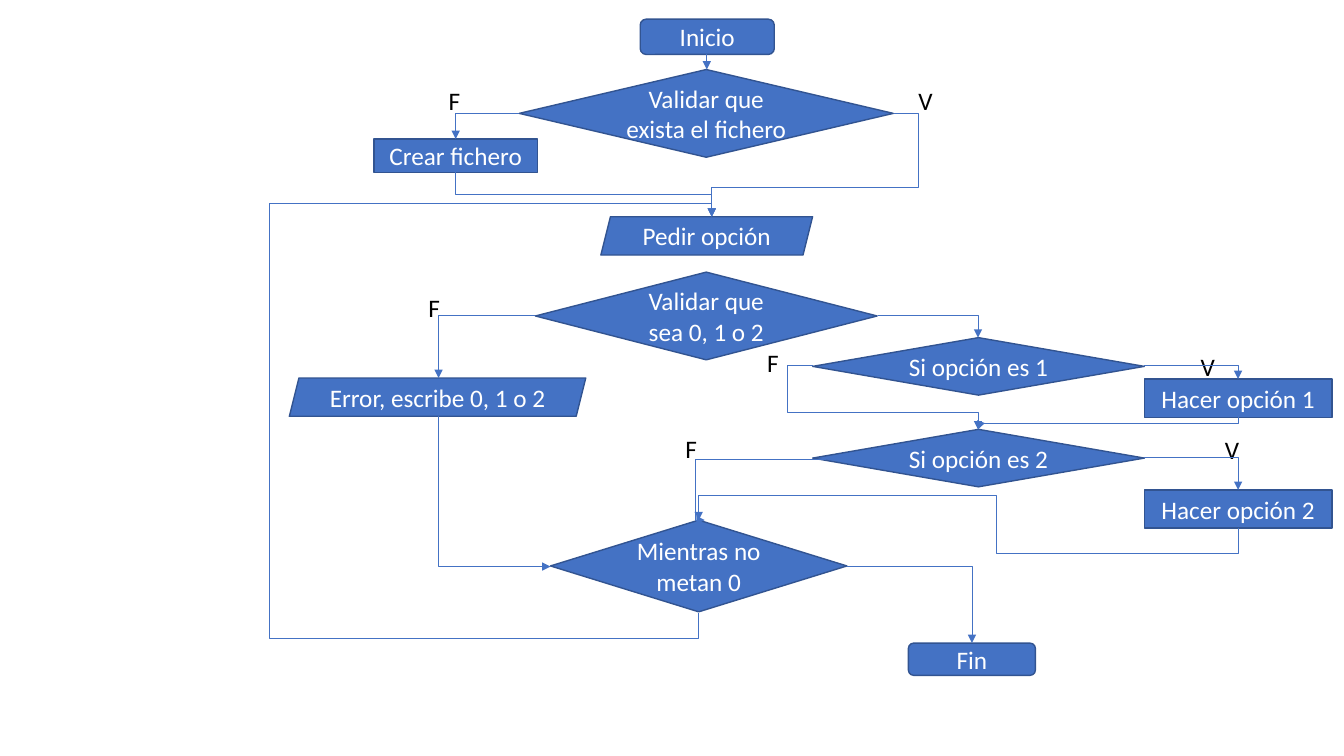
from lxml import etree
from pptx import Presentation
from pptx.dml.color import RGBColor
from pptx.enum.shapes import MSO_CONNECTOR as LINK, MSO_SHAPE as SHAPE
from pptx.enum.text import MSO_ANCHOR as ANCHOR, MSO_AUTO_SIZE as AUTO, PP_ALIGN as ALIGN
from pptx.oxml.ns import qn
from pptx.util import Inches, Pt

BLUE, OUTLINE, WHITE, BLACK = "4472C4", "325491", "FFFFFF", "000000"
TOP, LEFT, BOTTOM, RIGHT = range(4)
TOP_SLANTED = 1  # second connection site of a parallelogram


def color(hex_value):
    return RGBColor.from_string(hex_value)


def write(shape, text, hex_value=WHITE, align=ALIGN.CENTER, anchor=ANCHOR.MIDDLE, wrap=True):
    frame = shape.text_frame
    frame.word_wrap = wrap
    frame.vertical_anchor = anchor
    paragraph = frame.paragraphs[0]
    paragraph.alignment = align
    run = paragraph.add_run()
    run.text = text
    run.font.name, run.font.size = "Calibri", Pt(18)
    run.font.color.rgb = color(hex_value)


prs = Presentation()
prs.slide_width, prs.slide_height = Inches(13.33), Inches(7.5)
slide = prs.slides.add_slide(prs.slide_layouts[6])

# Steps of the flow: key, preset, left, top, width, height, text
steps = [
    ("start", SHAPE.ROUNDED_RECTANGLE, 6.35, 0.19, 1.33, 0.35, "Inicio"),
    ("file_exists", SHAPE.DIAMOND, 5.15, 0.69, 3.71, 0.87, "Validar que exista el fichero"),
    ("ask", SHAPE.PARALLELOGRAM, 5.96, 2.15, 2.1, 0.38, "Pedir opción"),
    ("create", SHAPE.RECTANGLE, 3.71, 1.38, 1.62, 0.33, "Crear fichero"),
    ("valid", SHAPE.DIAMOND, 5.31, 2.7, 3.39, 0.87, "Validar que sea 0, 1 o 2"),
    ("error", SHAPE.PARALLELOGRAM, 2.87, 3.75, 2.94, 0.38, "Error, escribe 0, 1 o 2"),
    ("loop", SHAPE.DIAMOND, 5.46, 5.16, 2.94, 0.91, "Mientras no metan 0"),
    ("is_1", SHAPE.DIAMOND, 8.06, 3.35, 3.29, 0.57, "Si opción es 1"),
    ("end", SHAPE.ROUNDED_RECTANGLE, 9.01, 6.38, 1.26, 0.32, "Fin"),
    ("do_1", SHAPE.RECTANGLE, 11.35, 3.76, 1.86, 0.38, "Hacer opción 1"),
    ("is_2", SHAPE.DIAMOND, 8.06, 4.26, 3.29, 0.57, "Si opción es 2"),
    ("do_2", SHAPE.RECTANGLE, 11.35, 4.86, 1.86, 0.38, "Hacer opción 2"),
]
nodes = {}
for key, preset, left, top, width, height, text in steps:
    node = slide.shapes.add_shape(preset, Inches(left), Inches(top), Inches(width), Inches(height))
    node.shadow.inherit = False
    node.fill.solid()
    node.fill.fore_color.rgb = color(BLUE)
    node.line.color.rgb = color(OUTLINE)
    node.line.width = Pt(1)
    write(node, text)
    nodes[key] = node

# Branch labels: V for true, F for false
branches = [
    ("V", 9.01, 0.8), ("F", 4.35, 0.8), ("F", 4.15, 2.85), ("V", 11.81, 3.44),
    ("F", 7.51, 3.4), ("V", 12.05, 4.26), ("F", 6.7, 4.25),
]
for letter, left, top in branches:
    width = 0.35 if letter == "V" else 0.32
    label = slide.shapes.add_textbox(Inches(left), Inches(top), Inches(width), Inches(0.4))
    write(label, letter, hex_value=BLACK, align=ALIGN.LEFT, anchor=ANCHOR.TOP, wrap=False)
    label.text_frame.auto_size = AUTO.SHAPE_TO_FIT_TEXT

# Arrows: glued start, glued end, corner points from first to last
arrows = [
    (("file_exists", RIGHT), ("ask", TOP_SLANTED),
     [(8.87, 1.12), (9.11, 1.12), (9.11, 1.86), (7.06, 1.86), (7.06, 2.15)]),
    (("file_exists", LEFT), ("create", TOP), [(5.15, 1.12), (4.52, 1.12), (4.52, 1.38)]),
    (("create", BOTTOM), ("ask", TOP_SLANTED),
     [(4.52, 1.71), (4.52, 1.93), (7.06, 1.93), (7.06, 2.15)]),
    (("loop", BOTTOM), ("ask", TOP_SLANTED),
     [(6.93, 6.08), (6.93, 6.33), (2.67, 6.33), (2.67, 2.02), (7.06, 2.02), (7.06, 2.15)]),
    (("valid", LEFT), ("error", TOP), [(5.31, 3.13), (4.35, 3.13), (4.35, 3.75)]),
    (None, ("loop", LEFT), [(4.35, 4.13), (4.35, 5.62), (5.46, 5.62)]),
    (("loop", RIGHT), ("end", TOP), [(8.4, 5.62), (9.64, 5.62), (9.64, 6.38)]),
    (("is_1", RIGHT), ("do_1", TOP), [(11.35, 3.63), (12.28, 3.63), (12.28, 3.76)]),
    (("is_2", RIGHT), ("do_2", TOP), [(11.35, 4.54), (12.28, 4.54), (12.28, 4.86)]),
    (("do_1", BOTTOM), ("is_2", TOP),
     [(12.28, 4.14), (12.28, 4.2), (9.7, 4.2), (9.7, 4.26)]),
    (("do_2", BOTTOM), ("loop", TOP),
     [(12.28, 5.24), (12.28, 5.49), (9.88, 5.49), (9.88, 4.91), (6.93, 4.91), (6.93, 5.16)]),
    (None, None, [(8.19, 4.56), (6.9, 4.56), (6.9, 5.16), (6.99, 5.16)]),
    (("is_1", LEFT), ("is_2", TOP),
     [(8.06, 3.63), (7.81, 3.63), (7.81, 4.09), (9.7, 4.09), (9.7, 4.26)]),
    (("valid", RIGHT), ("is_1", TOP), [(8.71, 3.13), (9.7, 3.13), (9.7, 3.35)]),
    (("start", BOTTOM), ("file_exists", TOP), [(7.01, 0.54), (7.01, 0.69)]),
]
for source, target, points in arrows:
    (x1, y1), (x2, y2) = points[0], points[-1]
    bends = len(points) - 2
    kind = LINK.ELBOW if bends else LINK.STRAIGHT
    arrow = slide.shapes.add_connector(kind, Inches(x1), Inches(y1), Inches(x2), Inches(y2))
    arrow.line.color.rgb = color(BLUE)
    arrow.line.width = Pt(0.5)
    if source:
        arrow.begin_connect(nodes[source[0]], source[1])
    if target:
        arrow.end_connect(nodes[target[0]], target[1])
    properties = arrow._element.spPr
    etree.SubElement(arrow.line._get_or_add_ln(), qn("a:tailEnd"), type="triangle")
    etree.SubElement(properties, qn("a:effectLst"))

    # An elbow preset leaves sideways, so one that leaves vertically is turned by 90 degrees
    turned = bends > 0 and points[1][0] == x1
    local = [(y, -x) if turned else (x, y) for x, y in points]
    run_x, run_y = (local[-1][axis] - local[0][axis] for axis in (0, 1))
    width, height = abs(run_x), abs(run_y)
    arrow.left, arrow.top = Inches((x1 + x2 - width) / 2), Inches((y1 + y2 - height) / 2)
    arrow.width, arrow.height = Inches(width), Inches(height)
    frame = properties.find(qn("a:xfrm"))
    frame.set("rot", "5400000" if turned else "0")
    frame.set("flipH", str(int(run_x < 0)))
    frame.set("flipV", str(int(run_y < 0)))
    if bends:
        geometry = properties.find(qn("a:prstGeom"))
        geometry.set("prst", f"bentConnector{bends + 1}")
        guides = geometry.find(qn("a:avLst"))
        for index in range(bends - 1):
            axis = index % 2
            share = (local[index + 1][axis] - local[0][axis]) / (run_x, run_y)[axis]
            etree.SubElement(guides, qn("a:gd"), name=f"adj{index + 1}",
                             fmla=f"val {round(share * 100000)}")

prs.save("out.pptx")
